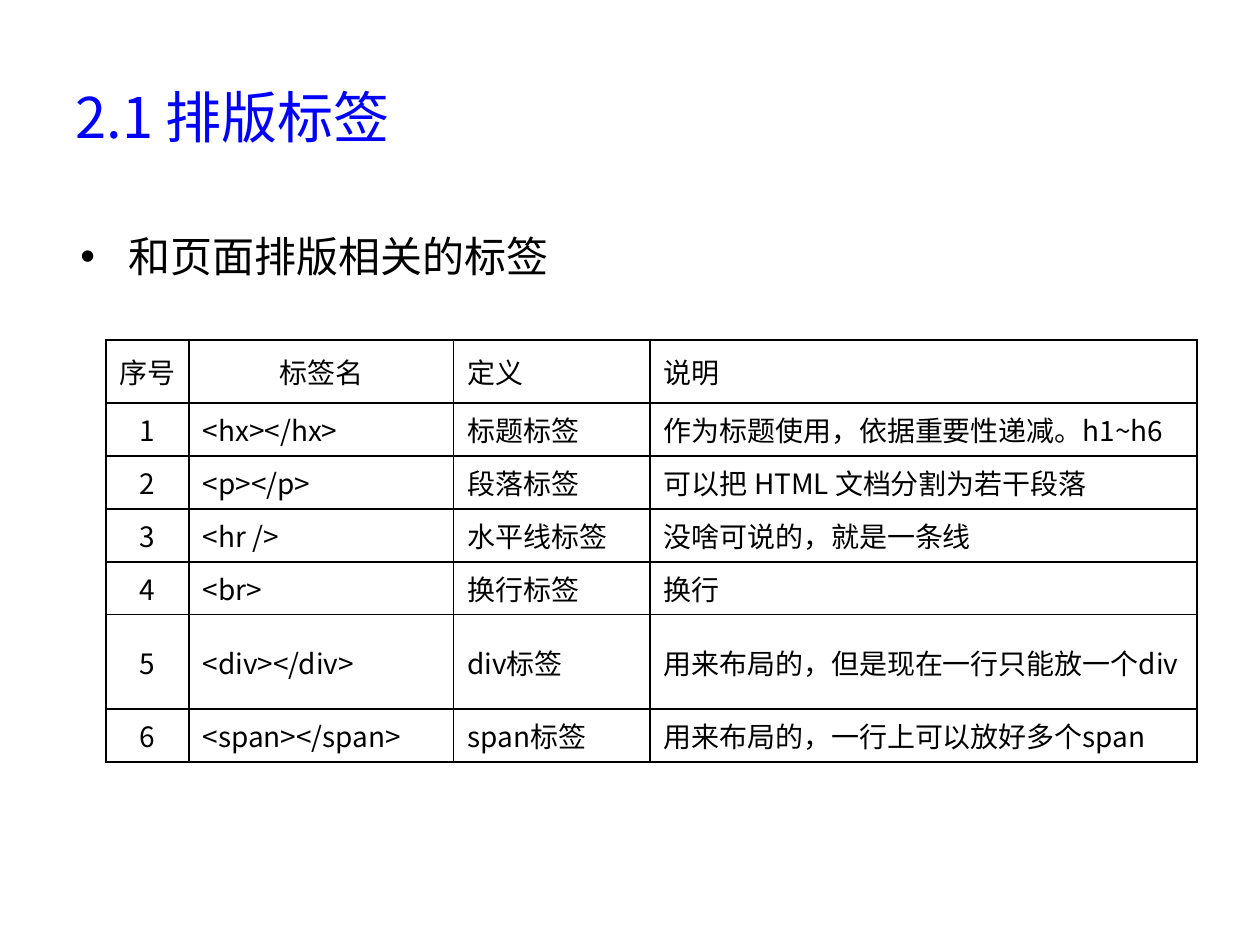
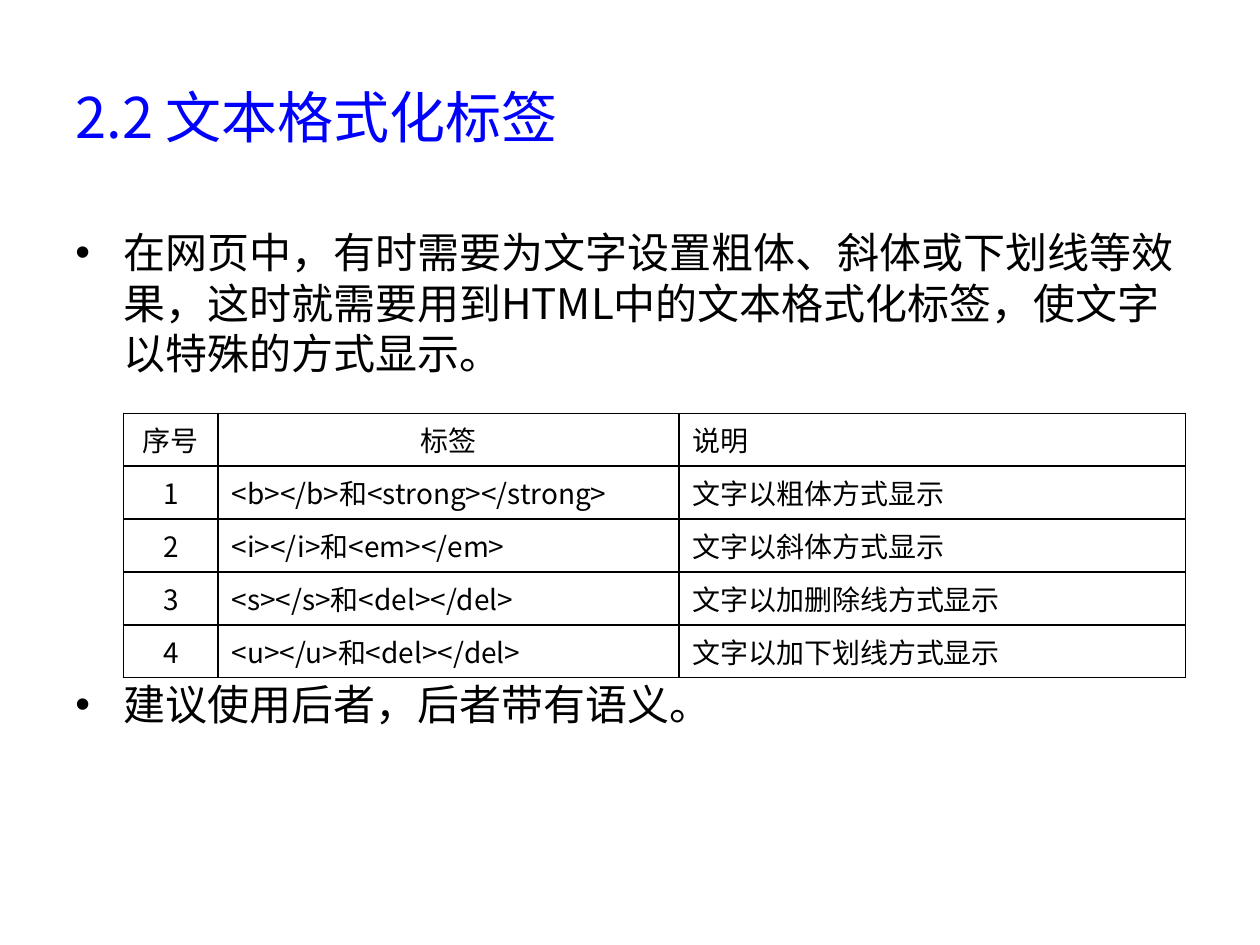
from dataclasses import dataclass

from lxml.etree import SubElement
from pptx import Presentation
from pptx.dml.color import RGBColor
from pptx.enum.text import MSO_ANCHOR, PP_ALIGN
from pptx.oxml.ns import qn
from pptx.util import Inches, Pt


@dataclass(frozen=True)
class Theme:
    font: str = "Noto Sans CJK SC"
    blue: str = "0000FF"
    black: str = "000000"
    white: str = "FFFFFF"
    title: int = 32
    body: int = 24
    cell: int = 16
    indent: float = 0.38
    row: float = 0.42


@dataclass(frozen=True)
class Bullet:
    text: str
    before: float = 2


@dataclass(frozen=True)
class Grid:
    left: float
    top: float
    widths: tuple[float, ...]
    heights: tuple[float, ...]
    rows: tuple[tuple[str, ...], ...]


@dataclass(frozen=True)
class Page:
    title: str
    left: float
    top: float
    bullets: tuple[Bullet, ...]
    grid: Grid


THEME = Theme()

PAGES = (
    Page(
        "2.1 排版标签", 0.54, 1.78,
        (Bullet("和页面排版相关的标签"),),
        Grid(0.84, 2.7, (0.66, 2.1, 1.56, 4.34),
             (0.5, *[THEME.row] * 4, 0.75, THEME.row), (
            ("序号", "标签名", "定义", "说明"),
            ("1", "<hx></hx>", "标题标签", "作为标题使用，依据重要性递减。h1~h6"),
            ("2", "<p></p>", "段落标签", "可以把 HTML 文档分割为若干段落"),
            ("3", "<hr />", "水平线标签", "没啥可说的，就是一条线"),
            ("4", "<br>", "换行标签", "换行"),
            ("5", "<div></div>", "div标签", "用来布局的，但是现在一行只能放一个div"),
            ("6", "<span></span>", "span标签", "用来布局的，一行上可以放好多个span"),
        )),
    ),
    Page(
        "2.2 文本格式化标签", 0.5, 1.75,
        (
            Bullet("在网页中，有时需要为文字设置粗体、斜体或下划线等效果，"
                   "这时就需要用到HTML中的文本格式化标签，使文字以特殊的方式显示。"),
            Bullet("建议使用后者，后者带有语义。", 172),
        ),
        Grid(0.98, 3.28, (0.75, 3.66, 4.02), (THEME.row,) * 5, (
            ("序号", "标签", "说明"),
            ("1", "<b></b>和<strong></strong>", "文字以粗体方式显示"),
            ("2", "<i></i>和<em></em>", "文字以斜体方式显示"),
            ("3", "<s></s>和<del></del>", "文字以加删除线方式显示"),
            ("4", "<u></u>和<del></del>", "文字以加下划线方式显示"),
        )),
    ),
)


def style(para, size: int, color: str) -> None:
    for run in para.runs:
        run.font.size = Pt(size)
        run.font.name = THEME.font
        run.font.color.rgb = RGBColor.from_string(color)
        SubElement(run.font._element, qn("a:ea"), typeface=THEME.font)


def add_box(slide, left: float, top: float, height: float):
    box = slide.shapes.add_textbox(
        Inches(left), Inches(top), Inches(9), Inches(height))
    box.text_frame.word_wrap = True
    return box.text_frame


def add_title(slide, text: str) -> None:
    frame = add_box(slide, 0.5, 0.3, 1.25)
    frame.vertical_anchor = MSO_ANCHOR.MIDDLE
    frame.text = text
    style(frame.paragraphs[0], THEME.title, THEME.blue)


def add_body(slide, page: Page) -> None:
    frame = add_box(slide, page.left, page.top, 4.95)
    frame.text = "\n".join(item.text for item in page.bullets)
    for para, item in zip(frame.paragraphs, page.bullets):
        para.space_before = Pt(item.before)
        props = para._p.get_or_add_pPr()
        props.set("marL", str(Inches(THEME.indent)))
        props.set("indent", str(-Inches(THEME.indent)))
        SubElement(props, qn("a:buFont"), typeface="Arial")
        SubElement(props, qn("a:buChar"), char="•")
        style(para, THEME.body, THEME.black)


def add_edges(cell) -> None:
    props = cell._tc.get_or_add_tcPr()
    for at, side in enumerate(("lnL", "lnR", "lnT", "lnB")):
        line = SubElement(props, qn(f"a:{side}"), w=str(Pt(1)))
        fill = SubElement(line, qn("a:solidFill"))
        SubElement(fill, qn("a:srgbClr"), val=THEME.black)
        props.insert(at, line)


def fill_cell(cell, text: str, center: bool) -> None:
    cell.text = text
    cell.vertical_anchor = MSO_ANCHOR.MIDDLE
    cell.margin_left = cell.margin_right = Inches(0.1 if center else 0.11)
    cell.fill.solid()
    cell.fill.fore_color.rgb = RGBColor.from_string(THEME.white)
    para = cell.text_frame.paragraphs[0]
    para.alignment = PP_ALIGN.CENTER if center else PP_ALIGN.LEFT
    style(para, THEME.cell, THEME.black)
    add_edges(cell)


def add_grid(slide, grid: Grid) -> None:
    table = slide.shapes.add_table(
        len(grid.rows), len(grid.widths), Inches(grid.left), Inches(grid.top),
        Inches(sum(grid.widths)), Inches(sum(grid.heights))).table
    for column, width in zip(table.columns, grid.widths):
        column.width = Inches(width)
    for r, (texts, height) in enumerate(zip(grid.rows, grid.heights)):
        table.rows[r].height = Inches(height)
        for c, text in enumerate(texts):
            fill_cell(table.cell(r, c), text, c == 0 or (r == 0 and c == 1))


def main() -> None:
    deck = Presentation()
    deck.slide_width, deck.slide_height = Inches(10), Inches(7.5)
    for page in PAGES:
        slide = deck.slides.add_slide(deck.slide_layouts[6])
        add_title(slide, page.title)
        add_body(slide, page)
        add_grid(slide, page.grid)
    deck.save("out.pptx")


if __name__ == "__main__":
    main()
